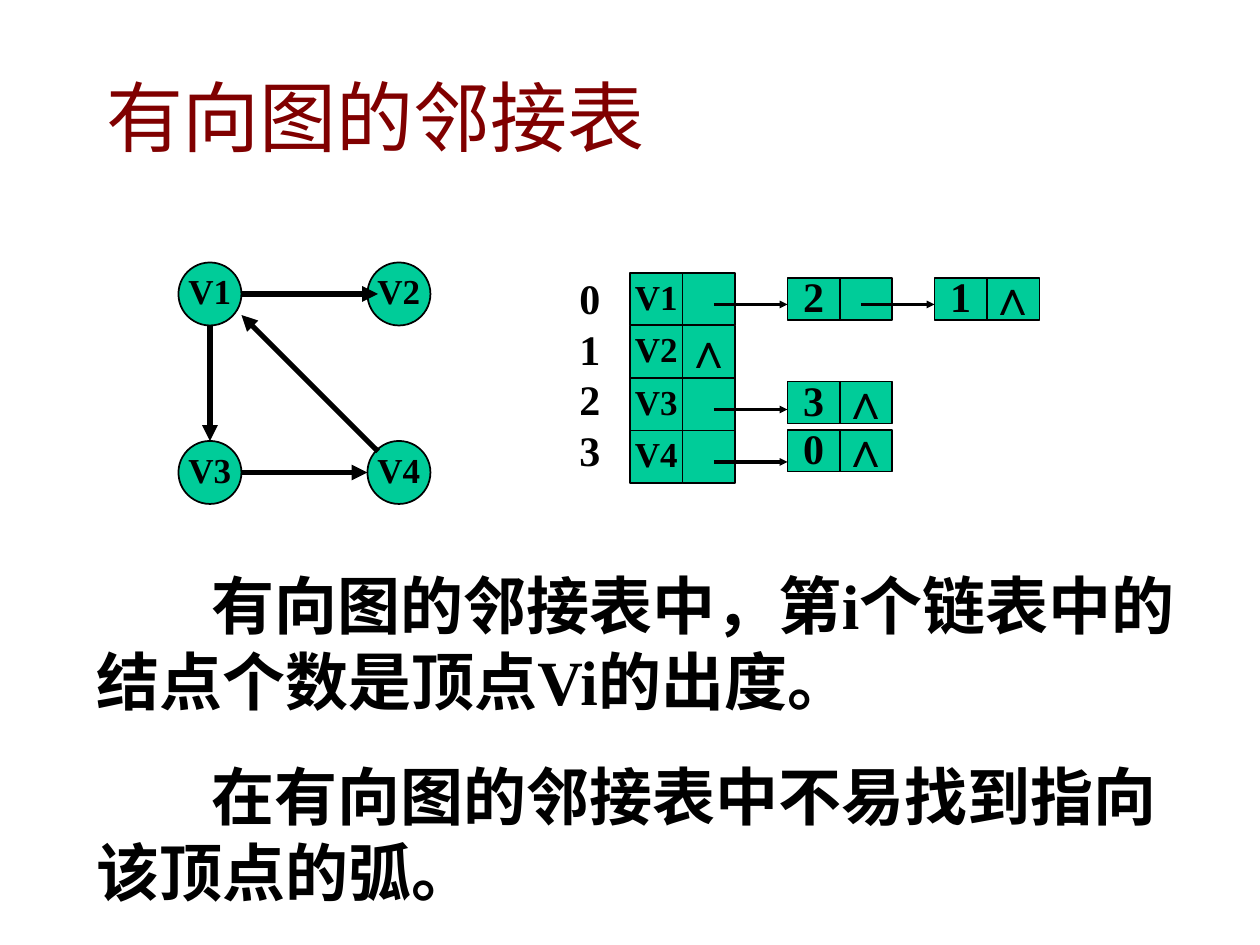
from pptx import Presentation
from pptx.dml.color import RGBColor
from pptx.enum.shapes import MSO_CONNECTOR, MSO_SHAPE
from pptx.enum.text import MSO_ANCHOR, PP_ALIGN
from pptx.oxml.ns import qn
from pptx.util import Pt
from lxml.etree import SubElement

GREEN = RGBColor(0x00, 0xCC, 0x99)
BLACK = RGBColor(0x00, 0x00, 0x00)
MAROON = RGBColor(0x80, 0x00, 0x00)
SERIF = "Times New Roman"

# Content
TITLE = "有向图的邻接表"
NOTES = [
    "有向图的邻接表中，第i个链表中的结点个数是顶点Vi的出度。",
    "在有向图的邻接表中不易找到指向该顶点的弧。",
]
NULL = "∧"
HEADS = [("V1", ""), ("V2", NULL), ("V3", ""), ("V4", "")]
# Linked nodes: left, top, index, link
NODES = [
    (450, 159, "2", ""),
    (534, 159, "1", NULL),
    (450, 218, "3", NULL),
    (450, 245.5, "0", NULL),
]
LINKS = [(408, 174, 450), (408, 234, 450), (408, 264, 450), (492, 174, 534)]
VERTICES = [("V1", 102, 150), ("V2", 210, 150), ("V3", 102, 252), ("V4", 210, 252)]
ARCS = [
    (120, 186, 120, 252),
    (138, 168, 216, 168),
    (138, 270, 210, 270),
    (216, 258, 138, 180),
]

# Sizes
CELL = 30
NODE_HEIGHT = 24
VERTEX = 36
HEAD_LEFT, HEAD_TOP = 360, 156
NOTE_INDENT = 66

deck = Presentation()
deck.slide_width, deck.slide_height = Pt(720), Pt(540)
page = deck.slides.add_slide(deck.slide_layouts[6])


def set_frame(frame, wrap, top=0):
    frame.word_wrap = wrap
    frame.margin_left = frame.margin_right = Pt(7.2)
    frame.margin_top, frame.margin_bottom = Pt(top), Pt(3.6)


def add_span(para, text, size, font=SERIF, color=BLACK, bold=True):
    span = para.add_run()
    span.text = text
    span.font.name, span.font.size, span.font.bold = font, Pt(size), bold
    span.font.color.rgb = color


def add_cell(kind, left, top, width, height, text, size):
    shape = page.shapes.add_shape(kind, Pt(left), Pt(top), Pt(width), Pt(height))
    shape.shadow.inherit = False
    shape.fill.solid()
    shape.fill.fore_color.rgb = GREEN
    shape.line.color.rgb = BLACK
    shape.line.width = Pt(1)
    if text:
        frame = shape.text_frame
        set_frame(frame, False)
        frame.vertical_anchor = MSO_ANCHOR.MIDDLE
        para = frame.paragraphs[0]
        para.alignment = PP_ALIGN.CENTER
        add_span(para, text, size, "Arial" if text == NULL else SERIF)


def add_pair(left, top, height, label, link, size):
    add_cell(MSO_SHAPE.RECTANGLE, left, top, CELL, height, label, size)
    add_cell(MSO_SHAPE.RECTANGLE, left + CELL, top, CELL, height, link, 28)


def add_arrow(x1, y1, x2, y2, width, head):
    arrow = page.shapes.add_connector(
        MSO_CONNECTOR.STRAIGHT, Pt(x1), Pt(y1), Pt(x2), Pt(y2))
    arrow.line.color.rgb = BLACK
    arrow.line.width = Pt(width)
    SubElement(arrow.line._get_or_add_ln(), qn("a:tailEnd"),
               type="triangle", w=head, len=head)
    SubElement(arrow._element.spPr, qn("a:effectLst"))


def add_text(left, top, width, height, wrap=True, inset=0):
    box = page.shapes.add_textbox(Pt(left), Pt(top), Pt(width), Pt(height))
    set_frame(box.text_frame, wrap, inset)
    return box.text_frame


def next_para(frame, index):
    return frame.add_paragraph() if index else frame.paragraphs[0]


# Adjacency list: linked nodes, head table, row numbers, links
for left, top, label, link in NODES:
    add_pair(left, top, NODE_HEIGHT, label, link, 24)
numbers = add_text(324, HEAD_TOP, CELL, 119)
for row, (label, link) in enumerate(HEADS):
    add_pair(HEAD_LEFT, HEAD_TOP + row * CELL, CELL, label, link, 20)
    add_span(next_para(numbers, row), str(row), 24)
for start, level, end in LINKS:
    add_arrow(start, level, end, level, 2.25, "sm")

# Explanation
notes = add_text(48, 324, 648, 199)
for index, note in enumerate(NOTES):
    para = next_para(notes, index)
    para._p.get_or_add_pPr().set("indent", str(Pt(NOTE_INDENT)))
    if index:
        para.space_before = Pt(22.5)
    add_span(para, note, 36)

# Title
title = add_text(53.5, 36, 322.5, 60.5, wrap=False, inset=3.6)
add_span(title.paragraphs[0], TITLE, 44, "Arial Narrow", MAROON, False)

# Directed graph
for label, left, top in VERTICES:
    add_cell(MSO_SHAPE.OVAL, left, top, VERTEX, VERTEX, label, 20)
for arc in ARCS:
    add_arrow(*arc, 3, "med")

deck.save("out.pptx")
